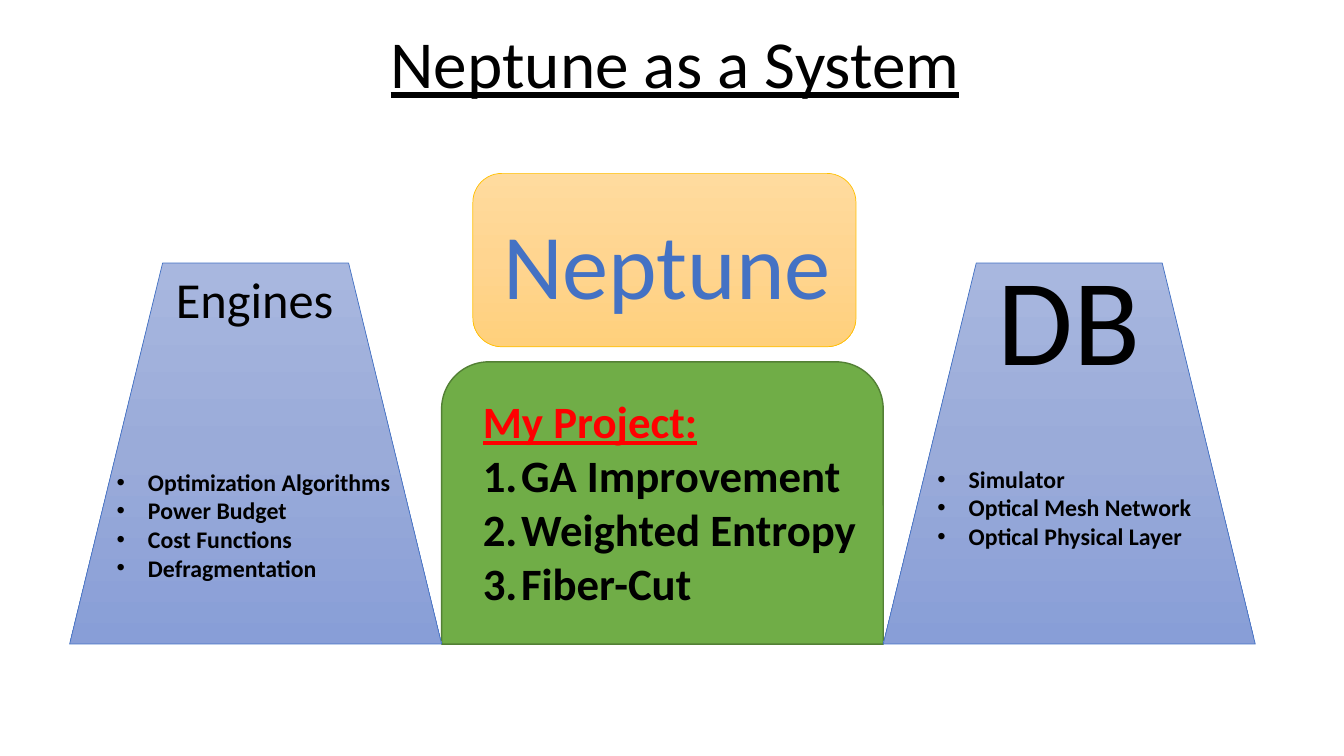
"""Build the slide that shows Neptune as a system of engines, database and project."""
import copy

from lxml import etree
from pptx import Presentation
from pptx import util as u
from pptx.dml.color import RGBColor
from pptx.enum import shapes, text
from pptx.oxml.ns import qn

PX = 9144
BLACK = RGBColor(0x00, 0x00, 0x00)
RED = RGBColor(0xFF, 0x00, 0x00)
BLUE = RGBColor(0x44, 0x72, 0xC4)
GREEN = RGBColor(0x70, 0xAD, 0x47)
DARK_GREEN = RGBColor(0x53, 0x80, 0x35)
GOLD = RGBColor(0xFF, 0xC0, 0x00)
GOLD_FADE = [RGBColor(0xFF, 0xDB, 0x9E), RGBColor(0xFF, 0xD5, 0x90), RGBColor(0xFF, 0xD0, 0x7C)]
BLUE_FADE = [RGBColor(0xA8, 0xB7, 0xDF), RGBColor(0x9A, 0xAB, 0xD9), RGBColor(0x88, 0x9E, 0xD7)]


def add_block(kind, box, colors, line_color, line_width):
    """Add a shape with a plain fill or a three-step vertical fade."""
    shape = slide.shapes.add_shape(kind, *[n * PX for n in box])
    shape.shadow.inherit = False
    shape.line.color.rgb = line_color
    shape.line.width = u.Pt(line_width)
    if len(colors) == 1:
        shape.fill.solid()
        shape.fill.fore_color.rgb = colors[0]
        return
    shape.fill.gradient()
    shape.fill.gradient_angle = 270
    stop_list = shape._element.spPr.find(qn("a:gradFill")).find(qn("a:gsLst"))
    stop_list.insert(1, copy.deepcopy(stop_list[0]))
    for stop, color, position in zip(shape.fill.gradient_stops, colors, (0, 0.5, 1)):
        stop.color.rgb = color
        stop.position = position


def write(shape, lines, size, color=BLACK, bold=False, underline=False, indent=0, number=False):
    """Write paragraphs, centred or as a hanging list, after any text already there."""
    frame = shape.text_frame
    frame.word_wrap = True
    frame.auto_size = text.MSO_AUTO_SIZE.NONE
    frame.vertical_anchor = text.MSO_ANCHOR.TOP
    for line in lines:
        paragraph = frame.add_paragraph() if frame.text else frame.paragraphs[0]
        paragraph.alignment = text.PP_ALIGN.LEFT if bold else text.PP_ALIGN.CENTER
        if indent:
            properties = paragraph._p.get_or_add_pPr()
            properties.set("marL", str(indent * PX))
            properties.set("indent", str(-indent * PX))
            if number:
                etree.SubElement(properties, qn("a:buAutoNum"), type="arabicPeriod")
            else:
                etree.SubElement(properties, qn("a:buFont"), typeface="Arial")
                etree.SubElement(properties, qn("a:buChar"), char="•")
        run = paragraph.add_run()
        run.text = line
        run.font.name = "Calibri"
        run.font.size = u.Pt(size)
        run.font.bold = bold
        run.font.underline = underline
        run.font.color.rgb = color


presentation = Presentation()
presentation.slide_width = 1333 * PX
presentation.slide_height = 750 * PX
slide = presentation.slides.add_slide(presentation.slide_layouts[5])

title = slide.shapes.title
title.left, title.top, title.width, title.height = [n * PX for n in (320, 16, 699, 91)]
write(title, ["Neptune as a System"], 48, underline=True)

SHAPE = shapes.MSO_SHAPE
add_block(SHAPE.ROUND_2_SAME_RECTANGLE, (438, 359, 438, 280), [GREEN], DARK_GREEN, 1)
add_block(SHAPE.ROUNDED_RECTANGLE, (469, 172, 380, 172), GOLD_FADE, GOLD, 0.5)
for left in (69, 876):
    add_block(SHAPE.TRAPEZOID, (left, 261, 369, 378), BLUE_FADE, BLUE, 0.5)

labels = [
    ("Engines", (160, 261, 185, 71), 36, BLACK),
    ("DB", (968, 235, 185, 158), 88, BLACK),
    ("Neptune", (382, 201, 559, 121), 66, BLUE),
]
for label, box, size, color in labels:
    write(slide.shapes.add_textbox(*[n * PX for n in box]), [label], size, color)

part_lists = [
    ((106, 459, 324, 153),
     ["Optimization Algorithms", "Power Budget", "Cost Functions", "Defragmentation"]),
    ((920, 456, 324, 125), ["Simulator", "Optical Mesh Network", "Optical Physical Layer"]),
]
for box, parts in part_lists:
    write(slide.shapes.add_textbox(*[n * PX for n in box]), parts, 17, bold=True, indent=31)

project = slide.shapes.add_textbox(*[n * PX for n in (469, 386, 415, 226)])
write(project, ["My Project:"], 32, RED, bold=True, underline=True)
write(project, ["GA Improvement", "Weighted Entropy", "Fiber-Cut"], 32,
      bold=True, indent=38, number=True)

presentation.save("out.pptx")
